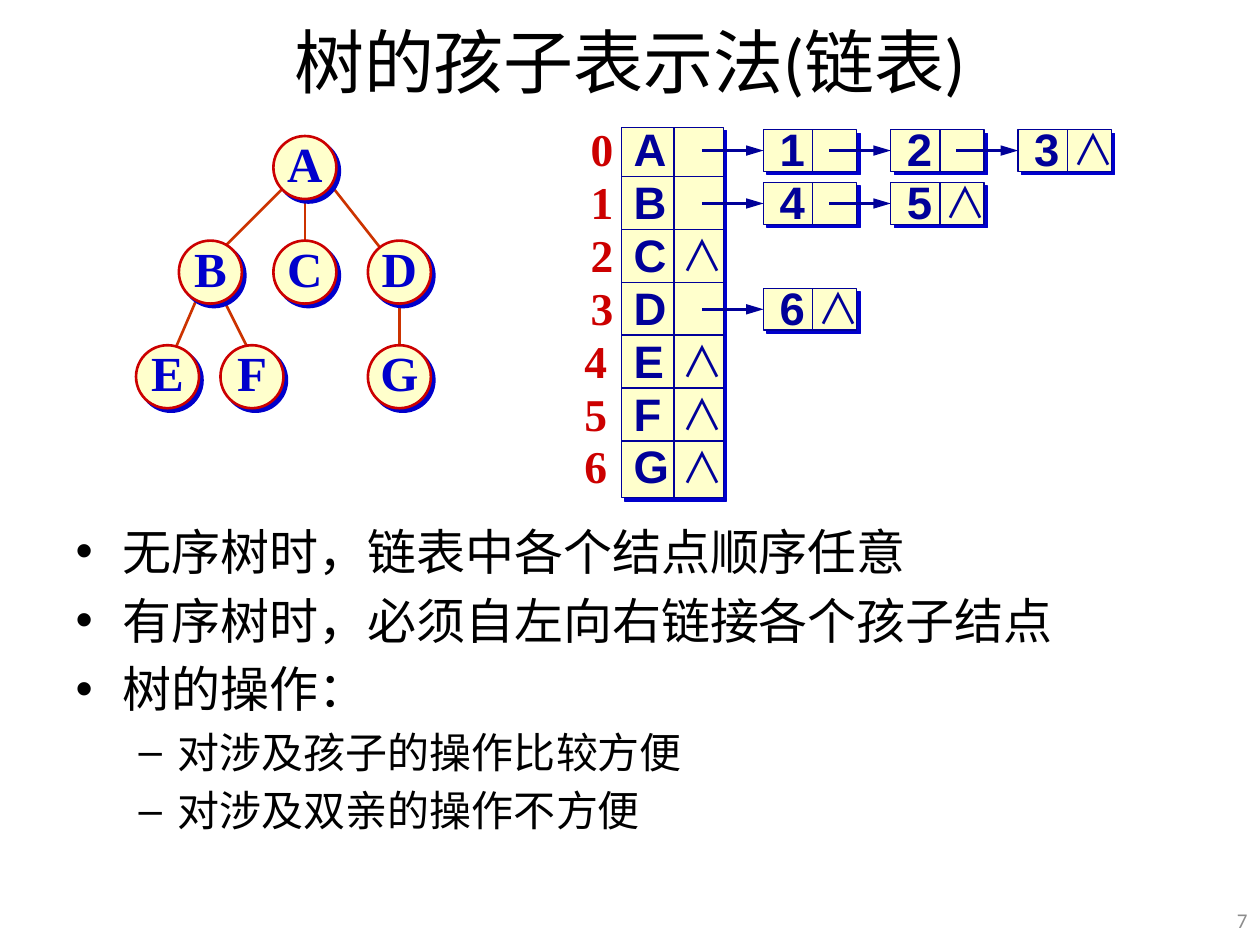
import pptx
import pptx.util
import pptx.dml.color
import pptx.enum.shapes
import pptx.enum.text
import pptx.oxml
import pptx.oxml.ns
from lxml import etree

Inches = pptx.util.Inches
Pt = pptx.util.Pt
ALIGN = pptx.enum.text.PP_ALIGN
ANCHOR = pptx.enum.text.MSO_ANCHOR
SHAPE = pptx.enum.shapes.MSO_SHAPE


def color(hex_code):
    return pptx.dml.color.RGBColor.from_string(hex_code)


class TreeSlide:
    """Holds the diagram style and draws each kind of element on one slide."""

    cream, navy, blue, red, edge = "FFFFCC", "000099", "0000CC", "CC0000", "CC3300"

    def __init__(self, deck):
        self.slide = deck.slides.add_slide(deck.slide_layouts[1])

    def run(self, paragraph, words, size, font, ink, bold=False):
        run = paragraph.add_run()
        run.text = words
        run.font.size = Pt(size)
        run.font.name = font
        run.font.bold = bold
        run.font.color.rgb = color(ink)
        return run

    def place(self, holder, left, top, width, height):
        holder.left, holder.top = Inches(left), Inches(top)
        holder.width, holder.height = Inches(width), Inches(height)
        holder.text_frame.auto_size = pptx.enum.text.MSO_AUTO_SIZE.NONE

    def title(self, words):
        heading = self.slide.shapes.title
        self.place(heading, 0.5, -0.03, 9, 1.02)
        heading.text_frame.vertical_anchor = ANCHOR.MIDDLE
        paragraph = heading.text_frame.paragraphs[0]
        paragraph.alignment = ALIGN.CENTER
        self.run(paragraph, words, 40, "Calibri", "000000")

    def body(self, points):
        outline = self.slide.placeholders[1]
        self.place(outline, 0.5, 4.09, 9, 3.28)
        frame = outline.text_frame
        for number, (level, words) in enumerate(points):
            paragraph = frame.add_paragraph() if number else frame.paragraphs[0]
            paragraph.level = level
            if number == 0:
                paragraph.space_before = Pt(0)
            self.run(paragraph, words, 24 if level else 28, "Calibri", "000000")

    def label(self, words, left, top, width, height, size, font, ink, bold=True,
              align=ALIGN.LEFT, anchor=ANCHOR.TOP, inset=0, wrap=False):
        box = self.slide.shapes.add_textbox(
            Inches(left), Inches(top), Inches(width), Inches(height))
        frame = box.text_frame
        frame.word_wrap = wrap
        frame.vertical_anchor = anchor
        frame.margin_top = frame.margin_bottom = Inches(inset)
        paragraph = frame.paragraphs[0]
        paragraph.alignment = align
        return self.run(paragraph, words, size, font, ink, bold)

    def null_mark(self, left, top):
        font = "Noto Sans CJK SC"
        mark = self.label("∧", left, top, 0.48, 0.38, 24, font, self.navy, bold=False)
        east_asian = etree.SubElement(mark.font._element, pptx.oxml.ns.qn("a:ea"))
        east_asian.set("typeface", font)

    def shape(self, kind, left, top, width, height, ink, weight):
        form = self.slide.shapes.add_shape(
            kind, Inches(left), Inches(top), Inches(width), Inches(height))
        form.fill.solid()
        form.fill.fore_color.rgb = color(self.cream)
        form.line.color.rgb = color(ink)
        form.line.width = Pt(weight)
        form._element.spPr.append(pptx.oxml.parse_xml(
            f'<a:effectLst {pptx.oxml.ns.nsdecls("a")}>'
            f'<a:outerShdw dist="{Pt(2.8)}" dir="2700000" algn="ctr" rotWithShape="0">'
            f'<a:srgbClr val="{self.blue}"/></a:outerShdw></a:effectLst>'))
        return form

    def line(self, start, end, ink, weight):
        connector = self.slide.shapes.add_connector(
            pptx.enum.shapes.MSO_CONNECTOR.STRAIGHT,
            *[Inches(value) for value in (*start, *end)])
        connector.line.color.rgb = color(ink)
        connector.line.width = Pt(weight)
        etree.SubElement(connector._element.spPr, pptx.oxml.ns.qn("a:effectLst"))
        return connector

    def arrow_to(self, cell, left, y, length):
        arrow = self.line((left - length, y), (left, y), self.navy, 1.5)
        outline = arrow.line._get_or_add_ln()
        head = etree.SubElement(outline, pptx.oxml.ns.qn("a:tailEnd"))
        head.set("type", "triangle")
        head.set("len", "lg")
        arrow.end_connect(cell, 1)

    def tree(self, nodes, edges):
        for start, end in edges:
            self.line(start, end, self.edge, 1.5)
        for left, top in nodes.values():
            self.shape(SHAPE.OVAL, left, top, 0.5, 0.5, self.red, 1.5)
        for name, (left, top) in nodes.items():
            self.label(name, left, top - 0.07, 0.5, 0.57, 28, "Times New Roman",
                       self.blue, align=ALIGN.CENTER, anchor=ANCHOR.MIDDLE, inset=0.05)

    def child_cell(self, child, left, top, is_last):
        width, height = 0.74, 0.33
        cell = self.shape(SHAPE.RECTANGLE, left, top, width, height, self.navy, 0.75)
        divider = left + 0.39
        self.line((divider, top), (divider, top + height), self.navy, 0.75)
        self.label(child, left + 0.03, top - 0.07, 0.36, 0.41, 26, "Arial", self.navy)
        if is_last:
            self.null_mark(left + 0.33, top - 0.05)
        return cell, top + height / 2

    def child_lists(self, children):
        left, right, top, bottom, divider = 4.93, 5.74, 1.01, 3.95, 5.35
        self.shape(SHAPE.RECTANGLE, left, top, right - left, bottom - top,
                   self.navy, 0.75)
        self.line((divider, top), (divider, bottom), self.navy, 0.75)
        for index, (parent, chain) in enumerate(children.items()):
            row = 0.98 + 0.42 * index
            if index:
                self.line((right, row), (left, row), self.navy, 0.75)
            self.label(str(index), 4.59 if index < 4 else 4.54, row - 0.02, 0.34, 0.41,
                       26, "Times New Roman", self.red)
            self.label(parent, left, row - 0.02, 0.41, 0.41, 26, "Arial", self.navy,
                       wrap=True)
            if not chain:
                self.null_mark(5.31, row)
            for place, child in enumerate(chain):
                cell_left = 6.06 + 1.01 * place
                cell, middle = self.child_cell(
                    child, cell_left, row + 0.05, place == len(chain) - 1)
                self.arrow_to(cell, cell_left, middle, 0.49)


def main():
    deck = pptx.Presentation()
    deck.slide_width, deck.slide_height = Inches(10), Inches(7.5)
    page = TreeSlide(deck)
    page.title("树的孩子表示法(链表)")
    page.body([
        (0, "无序树时，链表中各个结点顺序任意"),
        (0, "有序树时，必须自左向右链接各个孩子结点"),
        (0, "树的操作："),
        (1, "对涉及孩子的操作比较方便"),
        (1, "对涉及双亲的操作不方便"),
    ])
    page.tree(
        {"A": (2.17, 1.08), "B": (1.42, 1.91), "C": (2.17, 1.91), "D": (2.92, 1.91),
         "E": (1.08, 2.74), "F": (1.75, 2.74), "G": (2.92, 2.74)},
        [((3.17, 2.33), (3.17, 2.91)), ((2.58, 1.41), (3.17, 2.16)),
         ((1.75, 2.33), (2, 2.83)), ((1.58, 2.33), (1.33, 2.91)),
         ((2.25, 1.49), (1.75, 1.99)), ((2.42, 1.49), (2.42, 1.99))])
    page.child_lists(
        {"A": "123", "B": "45", "C": "", "D": "6", "E": "", "F": "", "G": ""})
    page.label("7", 9.57, 7.1, 0.43, 0.4, 12, "Calibri", "8C8C8C", bold=False,
               align=ALIGN.RIGHT, anchor=ANCHOR.MIDDLE, inset=0.05, wrap=True)
    deck.save("out.pptx")


if __name__ == "__main__":
    main()
